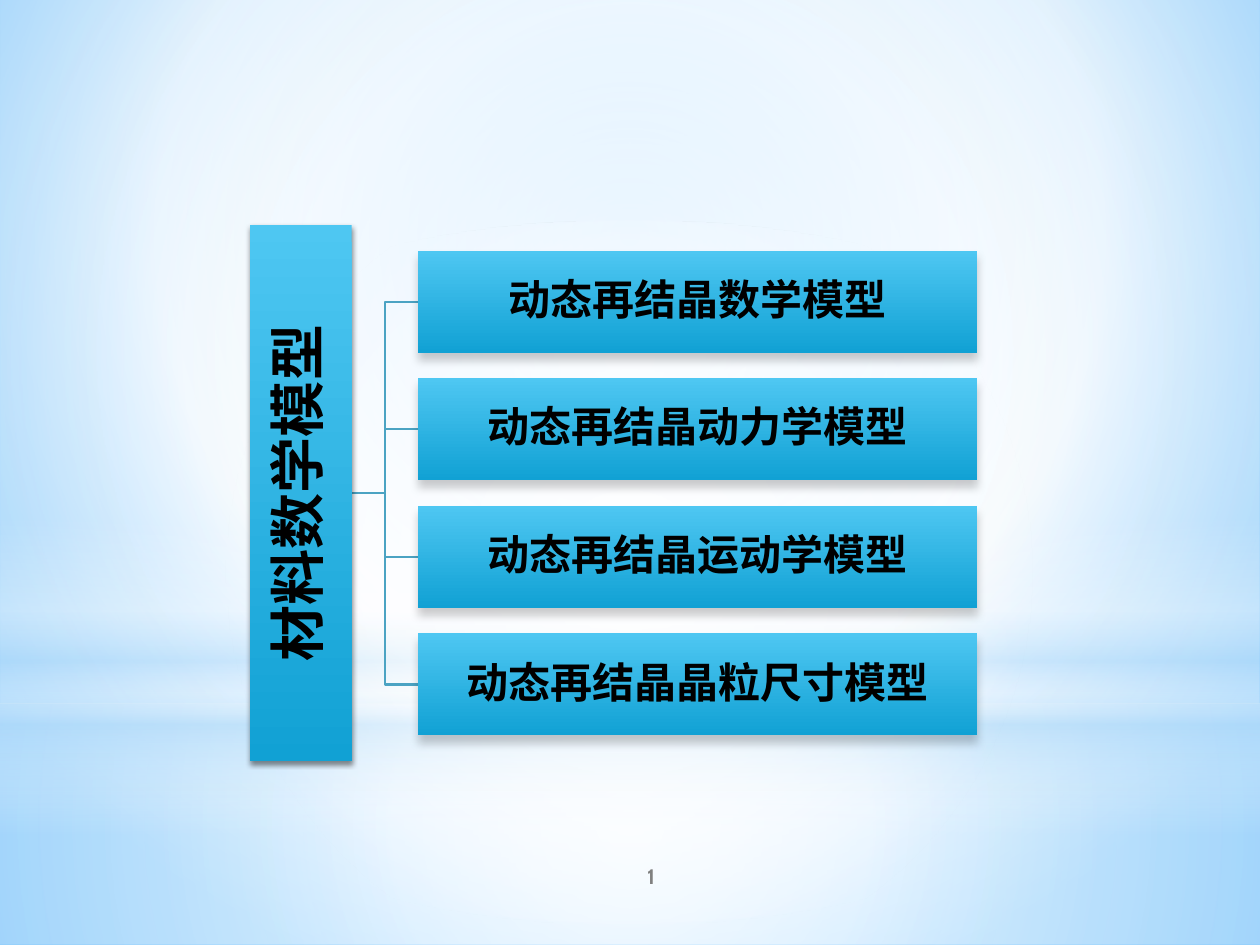
import pptx
import pptx.util
import pptx.dml.color
import pptx.enum.shapes
import pptx.enum.text
import pptx.oxml
import pptx.oxml.ns
import lxml.etree

Pt = pptx.util.Pt
RGBColor = pptx.dml.color.RGBColor
SHAPE = pptx.enum.shapes.MSO_SHAPE
qn = pptx.oxml.ns.qn
sub = lxml.etree.SubElement

WHITE = RGBColor(0xFF, 0xFF, 0xFF)
BLACK = RGBColor(0x00, 0x00, 0x00)
GREY = RGBColor(0x80, 0x80, 0x80)
PALE_BLUE = RGBColor(0xB4, 0xDC, 0xFA)
SKY_INNER = RGBColor(0x9E, 0xD5, 0xFF)
SKY_OUTER = RGBColor(0x5B, 0xB9, 0xFF)
BAR_TOP = RGBColor(0x4E, 0xC7, 0xF2)
BAR_BOTTOM = RGBColor(0x11, 0xA1, 0xD4)
BRANCH_BLUE = RGBColor(0x4B, 0xA3, 0xC3)
CJK_FONT = "Noto Sans CJK SC"


def paint_gradient(element, fill, stops, focus=None):
    """Stops are (position, colour, opacity) in percent; without focus it runs downwards."""
    fill.gradient()
    gradient = element.find(".//" + qn("a:gradFill"))
    for child in list(gradient):
        gradient.remove(child)
    gradient.set("rotWithShape", "0")
    stop_list = sub(gradient, qn("a:gsLst"))
    for position, colour, opacity in stops:
        stop = sub(stop_list, qn("a:gs"), pos=str(position * 1000))
        tint = sub(stop, qn("a:srgbClr"), val=str(colour))
        if opacity < 100:
            sub(tint, qn("a:alpha"), val=str(opacity * 1000))
    if focus:
        circle = sub(gradient, qn("a:path"), path="circle")
        sub(circle, qn("a:fillToRect"),
            **{side: str(value * 1000) for side, value in zip("ltrb", focus)})
    else:
        sub(gradient, qn("a:lin"), ang="5400000", scaled="0")


def write_text(shape, text, size, font, colour, inset=1.44, spacing=0.9):
    frame = shape.text_frame
    frame.word_wrap = True
    frame.vertical_anchor = pptx.enum.text.MSO_ANCHOR.MIDDLE
    frame.margin_left = frame.margin_right = Pt(inset)
    frame.margin_top = frame.margin_bottom = Pt(inset)
    paragraph = frame.paragraphs[0]
    paragraph.alignment = pptx.enum.text.PP_ALIGN.CENTER
    paragraph.line_spacing = spacing
    run = paragraph.add_run()
    run.text = text
    run.font.size = Pt(size)
    run.font.bold = True
    run.font.name = font
    run.font.color.rgb = colour
    sub(run.font._element, qn("a:ea"), typeface=font)


deck = pptx.Presentation()
deck.slide_width, deck.slide_height = Pt(720), Pt(540)
slide = deck.slides.add_slide(deck.slide_layouts[6])
shapes = slide.shapes

# Sky background
paint_gradient(slide.element, slide.background.fill,
               [(0, SKY_INNER, 100), (60, WHITE, 100), (100, SKY_OUTER, 100)],
               focus=(20, 10, 20, 60))

# Layers of light: ground, sky, horizon, glow
CENTRE = (50, 50, 50, 50)
light_layers = [
    (SHAPE.RECTANGLE, 401.8, 138.2, CENTRE,
     [(0, WHITE, 91), (37, WHITE, 76), (100, PALE_BLUE, 79)]),
    (SHAPE.RECTANGLE, 0, 401.8, CENTRE,
     [(0, WHITE, 89), (48, WHITE, 62), (100, PALE_BLUE, 79)]),
    (SHAPE.RECTANGLE, 296.6, 180, None,
     [(0, WHITE, 0), (29, WHITE, 30), (45, PALE_BLUE, 40),
      (55, WHITE, 26), (65, PALE_BLUE, 60), (100, WHITE, 0)]),
    (SHAPE.OVAL, 126, 401.8, CENTRE, [(0, WHITE, 100), (56, WHITE, 0)]),
]
for outline, top, height, focus, stops in light_layers:
    layer = shapes.add_shape(outline, 0, Pt(top), Pt(720), Pt(height))
    layer.shadow.inherit = False
    layer.line.fill.background()
    paint_gradient(layer.element, layer.fill, stops, focus)

# Page number
page_number = shapes.add_textbox(Pt(300), Pt(486), Pt(144), Pt(28.8))
write_text(page_number, "1", size=12, font="Cabin", colour=GREY,
           inset=3.6, spacing=1)

# Tree measures
models = ["动态再结晶数学模型", "动态再结晶动力学模型",
          "动态再结晶运动学模型", "动态再结晶晶粒尺寸模型"]
BAR_HEIGHT = 58.3
MODEL_LEFT, MODEL_WIDTH = 239, 319.2
FIRST_MIDDLE, STEP = 172.4, 72.9
ROOT_LENGTH, ROOT_MIDDLE_X = 306.7, 171.8
middles = [FIRST_MIDDLE + STEP * row for row in range(len(models))]
root_middle = sum(middles) / len(middles)
root_right = ROOT_MIDDLE_X + BAR_HEIGHT / 2
bend = (root_right + MODEL_LEFT) / 2

# Branches from the root to each model
for middle in reversed(middles):
    builder = shapes.build_freeform(Pt(root_right), Pt(root_middle))
    builder.add_line_segments(
        [(Pt(bend), Pt(root_middle)), (Pt(bend), Pt(middle)),
         (Pt(MODEL_LEFT), Pt(middle))], close=False)
    branch = builder.convert_to_shape()
    branch.shadow.inherit = False
    branch.fill.background()
    branch.line.color.rgb = BRANCH_BLUE
    branch.line.width = Pt(1.25)

# Root and model bars: text, size, left, middle, width, turn, shadow (opacity, blur, distance)
bars = [("材料数学模型", 32, ROOT_MIDDLE_X - ROOT_LENGTH / 2, root_middle,
         ROOT_LENGTH, 270, (45, 3.1, 1.8))]
bars += [(model, 24, MODEL_LEFT, middle, MODEL_WIDTH, 0, (20, 5, 4))
         for model, middle in zip(models, middles)]
for text, size, left, middle, width, turn, (opacity, blur, distance) in bars:
    bar = shapes.add_shape(SHAPE.RECTANGLE, Pt(left), Pt(middle - BAR_HEIGHT / 2),
                           Pt(width), Pt(BAR_HEIGHT))
    bar.rotation = turn
    bar.line.fill.background()
    paint_gradient(bar.element, bar.fill, [(0, BAR_TOP, 100), (100, BAR_BOTTOM, 100)])
    bar.shadow.inherit = False
    shade = sub(bar.element.spPr.find(qn("a:effectLst")), qn("a:outerShdw"),
                blurRad=str(Pt(blur)), dist=str(Pt(distance)),
                dir="5400000", rotWithShape="0")
    shade_colour = sub(shade, qn("a:srgbClr"), val=str(BLACK))
    sub(shade_colour, qn("a:alpha"), val=str(opacity * 1000))
    write_text(bar, text, size=size, font=CJK_FONT, colour=BLACK)

deck.save("out.pptx")
